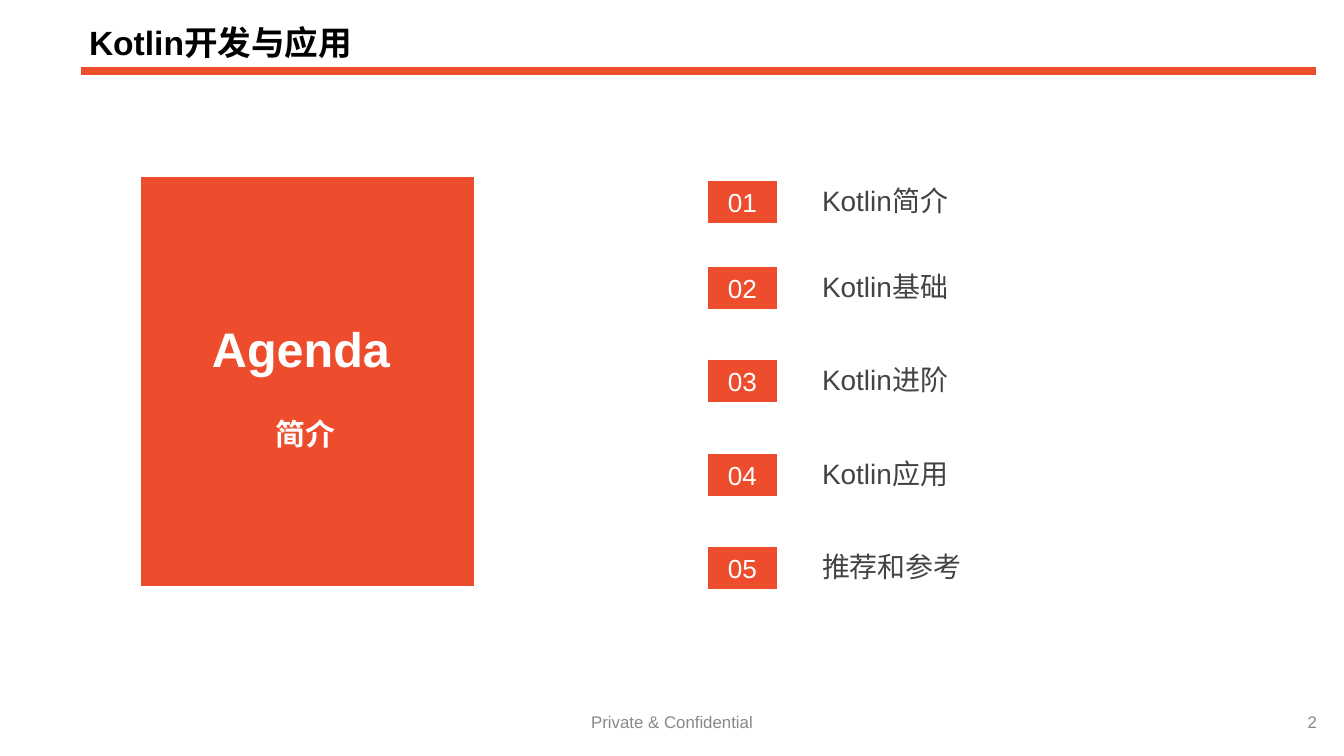
from dataclasses import dataclass

from lxml.etree import SubElement
from pptx import Presentation
from pptx.dml.color import RGBColor
from pptx.enum.shapes import MSO_CONNECTOR, MSO_SHAPE
from pptx.enum.text import MSO_ANCHOR, PP_ALIGN
from pptx.oxml.ns import qn
from pptx.util import Emu, Pt

SCALE = 914400 / 134.4  # EMU in one px


@dataclass(frozen=True)
class Theme:
    font: str = "Arial"
    accent: str = "EE4D2D"
    white: str = "FFFFFF"
    black: str = "000000"
    body: str = "434343"
    muted: str = "888888"
    title: int = 18
    head: int = 26
    sub: int = 16
    item: int = 15
    chip: int = 14
    foot: int = 9


THEME = Theme()

ITEMS = ["Kotlin简介", "Kotlin基础", "Kotlin进阶", "Kotlin应用", "推荐和参考"]
TOPS = [180, 266, 359, 453, 546]


def px(num):
    return Emu(round(num * SCALE))


def color(code):
    return RGBColor.from_string(code)


def write(shape, text, size, tint, bold=False, align=PP_ALIGN.LEFT,
          anchor=MSO_ANCHOR.TOP, inset=13):
    frame = shape.text_frame
    frame.word_wrap = True
    frame.vertical_anchor = anchor
    frame.margin_left = frame.margin_right = px(inset)
    frame.margin_top = frame.margin_bottom = px(inset)
    para = frame.paragraphs[0]
    para.alignment = align
    run = para.add_run()
    run.text = text
    run.font.name = THEME.font
    run.font.size = Pt(size)
    run.font.bold = bold
    run.font.color.rgb = color(tint)
    return para


def add_text(slide, box, text, size, tint, **style):
    shape = slide.shapes.add_textbox(*map(px, box))
    write(shape, text, size, tint, **style)


def add_block(slide, box):
    shape = slide.shapes.add_shape(MSO_SHAPE.RECTANGLE, *map(px, box))
    shape.shadow.inherit = False
    shape.fill.solid()
    shape.fill.fore_color.rgb = color(THEME.accent)
    shape.line.color.rgb = color(THEME.white)
    shape.line.width = Pt(0.75)
    return shape


def add_rule(slide, left, right, top):
    rule = slide.shapes.add_connector(
        MSO_CONNECTOR.STRAIGHT, px(left), px(top), px(right), px(top))
    rule.line.color.rgb = color(THEME.accent)
    rule.line.width = Pt(4)
    SubElement(rule._element.spPr, qn("a:effectLst"))


def set_title(slide, text):
    title = slide.shapes.title
    title.left, title.top, title.width, title.height = map(px, (81, 7, 1184, 64))
    para = write(title, text, THEME.title, THEME.black, bold=True,
                 anchor=MSO_ANCHOR.BOTTOM, inset=8)
    para.line_spacing = 0.9


def add_item(slide, num, text, top):
    chip = add_block(slide, (707, top, 71, 44))
    write(chip, f"{num:02}", THEME.chip, THEME.white,
          align=PP_ALIGN.CENTER, anchor=MSO_ANCHOR.MIDDLE)
    add_text(slide, (809, top - 9, 261, 60), text, THEME.item, THEME.body)


def add_foot(slide, box, text, align):
    add_text(slide, box, text, THEME.foot, THEME.muted, align=align,
             anchor=MSO_ANCHOR.MIDDLE, inset=5)


def main():
    deck = Presentation()
    deck.slide_width, deck.slide_height = px(1344), px(756)
    slide = deck.slides.add_slide(deck.slide_layouts[5])

    # Header
    add_rule(slide, 81, 1316, 71)
    set_title(slide, "Kotlin开发与应用")

    # Agenda panel
    add_block(slide, (140, 176, 335, 411))
    add_text(slide, (199, 306, 218, 82), "Agenda", THEME.head, THEME.white,
             bold=True)
    add_text(slide, (263, 403, 90, 63), "简介", THEME.sub, THEME.white,
             bold=True)

    # Numbered topics
    for num, (text, top) in enumerate(zip(ITEMS, TOPS), 1):
        add_item(slide, num, text, top)

    # Footer
    add_foot(slide, (450, 706, 444, 31), "Private & Confidential", PP_ALIGN.CENTER)
    add_foot(slide, (1282, 706, 40, 31), "2", PP_ALIGN.RIGHT)

    deck.save("out.pptx")


if __name__ == "__main__":
    main()
